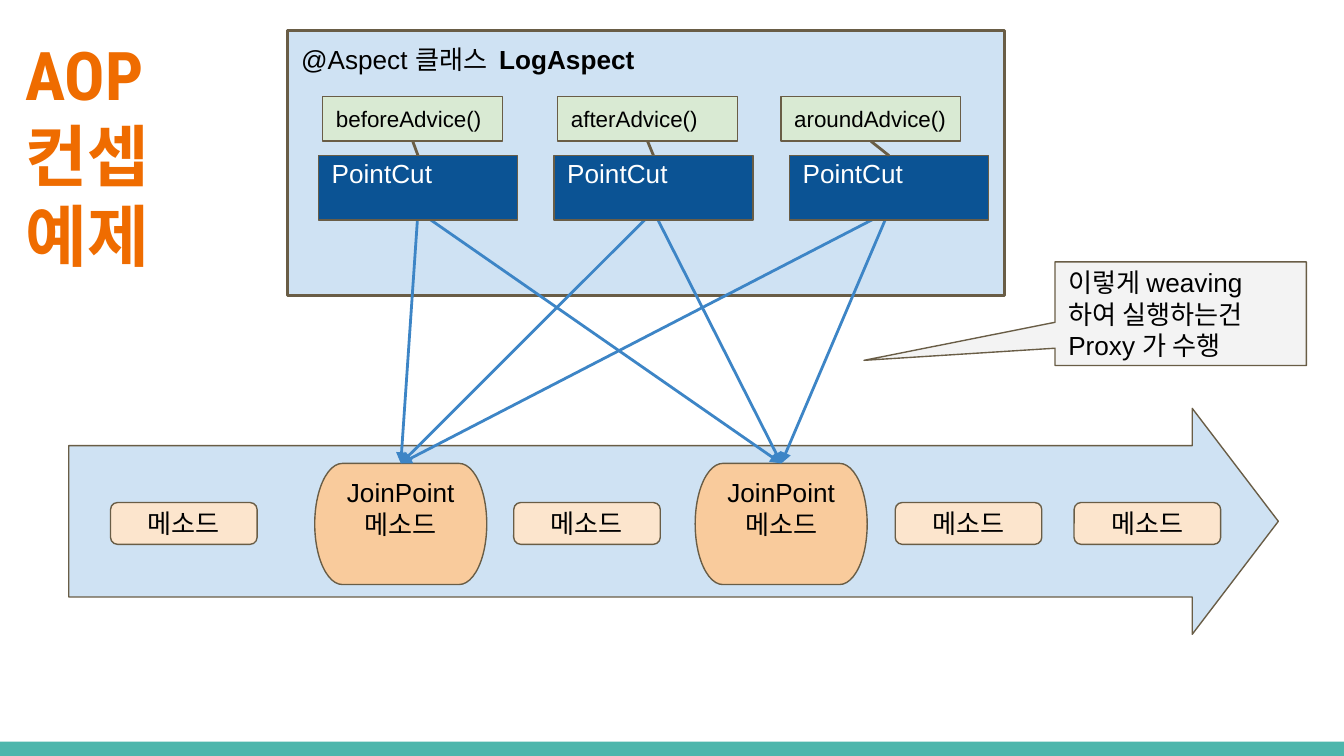
from collections import namedtuple

from pptx import Presentation
from pptx.dml.color import RGBColor
from pptx.enum.shapes import MSO_CONNECTOR, MSO_SHAPE
from pptx.enum.text import MSO_ANCHOR, PP_ALIGN
from pptx.oxml.ns import qn
from pptx.util import Cm, Pt

RECT = MSO_SHAPE.RECTANGLE
ROUNDED = MSO_SHAPE.ROUNDED_RECTANGLE
TERMINATOR = MSO_SHAPE.FLOWCHART_TERMINATOR
RIGHT_ARROW = MSO_SHAPE.RIGHT_ARROW
CALLOUT = MSO_SHAPE.ROUNDED_RECTANGULAR_CALLOUT
STRAIGHT = MSO_CONNECTOR.STRAIGHT
TOP, MIDDLE = MSO_ANCHOR.TOP, MSO_ANCHOR.MIDDLE
LEFT, CENTER = PP_ALIGN.LEFT, PP_ALIGN.CENTER

COLORS = {
    "footer": "4DB6AC", "title": "EF6C00", "panel": "CFE2F3",
    "outline": "695D46", "weave": "3D85C6", "pointcut": "0B5394",
    "advice": "D9EAD3", "joinpoint": "F9CB9C", "method": "FCE5CD",
    "note": "F3F3F3", "black": "000000", "white": "FFFFFF",
}
INSET = 0.25

Box = namedtuple("Box", "x y w h")


def color(name):
    """Return the palette colour called name."""
    return RGBColor.from_string(COLORS[name])


def inside(box, x, y, w, h):
    """Return a box placed relative to the corner of another box."""
    return Box(box.x + x, box.y + y, w, h)


def top_center(box):
    """Return the middle of the top edge."""
    return box.x + box.w / 2, box.y


def write(shape, *paragraphs, size=14, font="Arial", ink="black", bold=(),
          align=LEFT, anchor=MIDDLE, insets=(INSET,) * 4):
    """Write paragraphs, each a list of runs, into a shape."""
    frame = shape.text_frame
    frame.word_wrap = True
    frame.vertical_anchor = anchor
    (frame.margin_left, frame.margin_top,
     frame.margin_right, frame.margin_bottom) = map(Cm, insets)
    for index, texts in enumerate(paragraphs):
        paragraph = frame.add_paragraph() if index else frame.paragraphs[0]
        paragraph.alignment = align
        for text in texts:
            run = paragraph.add_run()
            run.text = text
            run.font.size = Pt(size)
            run.font.name = font
            run.font.bold = text in bold
            run.font.color.rgb = color(ink)


def add_block(slide, kind, box, fill, line=0.75, adjustments=()):
    """Add a filled preset shape with an optional outline."""
    block = slide.shapes.add_shape(kind, *map(Cm, box))
    block.shadow.inherit = False
    block.fill.solid()
    block.fill.fore_color.rgb = color(fill)
    if line:
        block.line.color.rgb = color("outline")
        block.line.width = Pt(line)
    else:
        block.line.fill.background()
    for index, value in enumerate(adjustments):
        block.adjustments[index] = value
    return block


def add_link(slide, start, end, ink, arrow=False):
    """Draw a straight line between two points, with an arrowhead if asked."""
    link = slide.shapes.add_connector(STRAIGHT, *map(Cm, (*start, *end)))
    link.line.color.rgb = color(ink)
    link.line.width = Pt(1.5)
    properties = link._element.spPr
    if arrow:
        head = properties.find(qn("a:ln")).makeelement(
            qn("a:tailEnd"), {"type": "triangle"})
        properties.find(qn("a:ln")).append(head)
    properties.append(properties.makeelement(qn("a:effectLst"), {}))


def draw_title(slide, box):
    """Write the slide title."""
    title = slide.shapes.add_textbox(*map(Cm, box))
    lines = ["AOP 컨셉"], ["예제"]
    write(title, *lines, size=36, font="Roboto Condensed", ink="title",
          bold=("AOP 컨셉", "예제"), anchor=TOP,
          insets=(INSET, INSET, 1, INSET))


def draw_flow(slide, box):
    """Draw the arrow of method calls and return the tops of the join points."""
    add_block(slide, RIGHT_ARROW, box, "panel", adjustments=(0.67, 0.381))
    joinpoints = [inside(box, x, 1.04, 3.25, 2.29) for x in (4.65, 11.84)]
    for place in joinpoints:
        joinpoint = add_block(slide, TERMINATOR, place, "joinpoint")
        write(joinpoint, ["JoinPoint"], ["메소드"], align=CENTER,
              insets=(0, 0, 0, 0.6))
    for x in (0.79, 8.41, 15.62, 19):
        method = add_block(slide, ROUNDED, inside(box, x, 1.78, 2.77, 0.79),
                           "method")
        write(method, ["메소드"], align=CENTER)
    return [top_center(place) for place in joinpoints]


def draw_aspect(slide, box, targets):
    """Draw the aspect class and weave each pointcut into the targets."""
    aspect = add_block(slide, RECT, box, "panel", line=1.5)
    write(aspect, ["@Aspect 클래스 ", " LogAspect"], bold=(" LogAspect",),
          anchor=TOP)
    pointcuts = [inside(box, 0.58 + 4.45 * i, 2.36, 3.76, 1.22)
                 for i in range(3)]
    for place in pointcuts:
        x, y = top_center(place)
        for target in targets:
            add_link(slide, (x, y + 1.05), target, "weave", arrow=True)
    advices = zip(("beforeAdvice()", "afterAdvice()", "aroundAdvice()"),
                  (0.66, 5.1, 9.32), pointcuts)
    for name, x, place in advices:
        pointcut = add_block(slide, RECT, place, "pointcut")
        write(pointcut, ["PointCut"], ink="white", anchor=TOP,
              insets=(INSET, 0.03, INSET, 0))
        advice_box = inside(box, x, 1.25, 3.4, 0.84)
        advice = add_block(slide, RECT, advice_box, "advice")
        write(advice, [name], size=12)
        center, top = top_center(advice_box)
        add_link(slide, (center, top + advice_box.h), top_center(place),
                 "outline")


def draw_note(slide, box):
    """Draw the callout about the proxy."""
    note = add_block(slide, CALLOUT, box, "note",
                     adjustments=(-1.26, 0.45, 0))
    write(note, ["이렇게 weaving 하여 실행하는건 Proxy 가 수행"])


def main():
    """Build and save the slide."""
    deck = Presentation()
    deck.slide_width, deck.slide_height = Cm(25.4), Cm(14.29)
    slide = deck.slides.add_slide(deck.slide_layouts[6])
    add_block(slide, RECT, Box(0, 14.02, 25.4, 0.27), "footer", line=0)
    draw_title(slide, Box(0.23, 0.38, 5.46, 1.96))
    targets = draw_flow(slide, Box(1.3, 7.72, 22.86, 4.27))
    draw_aspect(slide, Box(5.44, 0.58, 13.54, 5), targets)
    draw_note(slide, Box(19.94, 4.95, 4.75, 1.96))
    deck.save("out.pptx")


if __name__ == "__main__":
    main()
